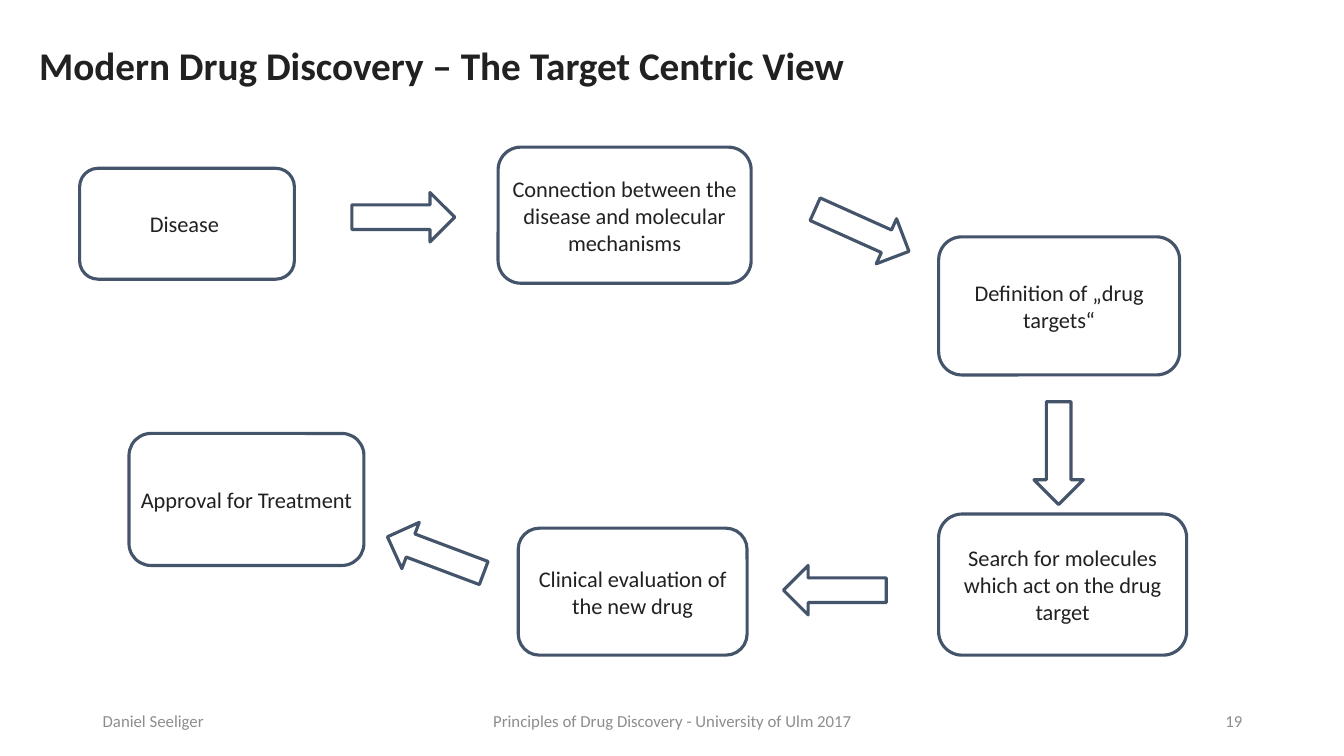
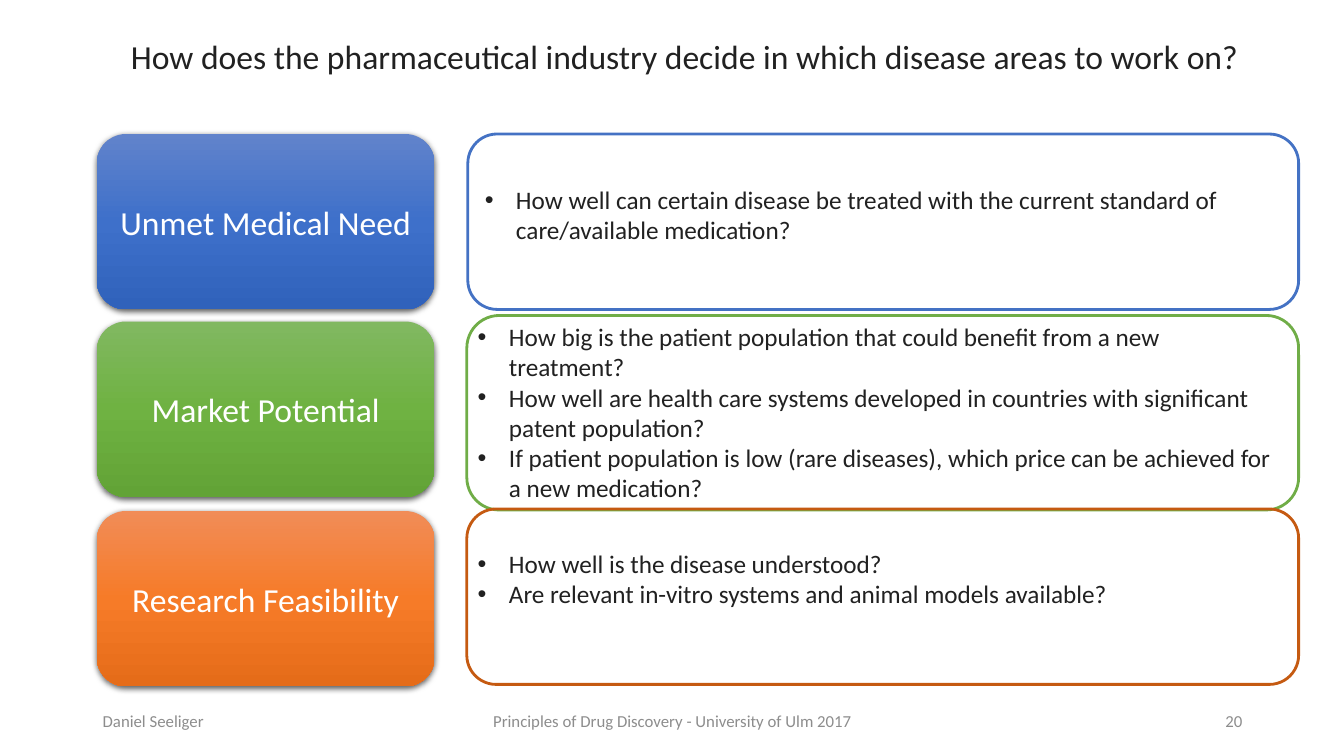
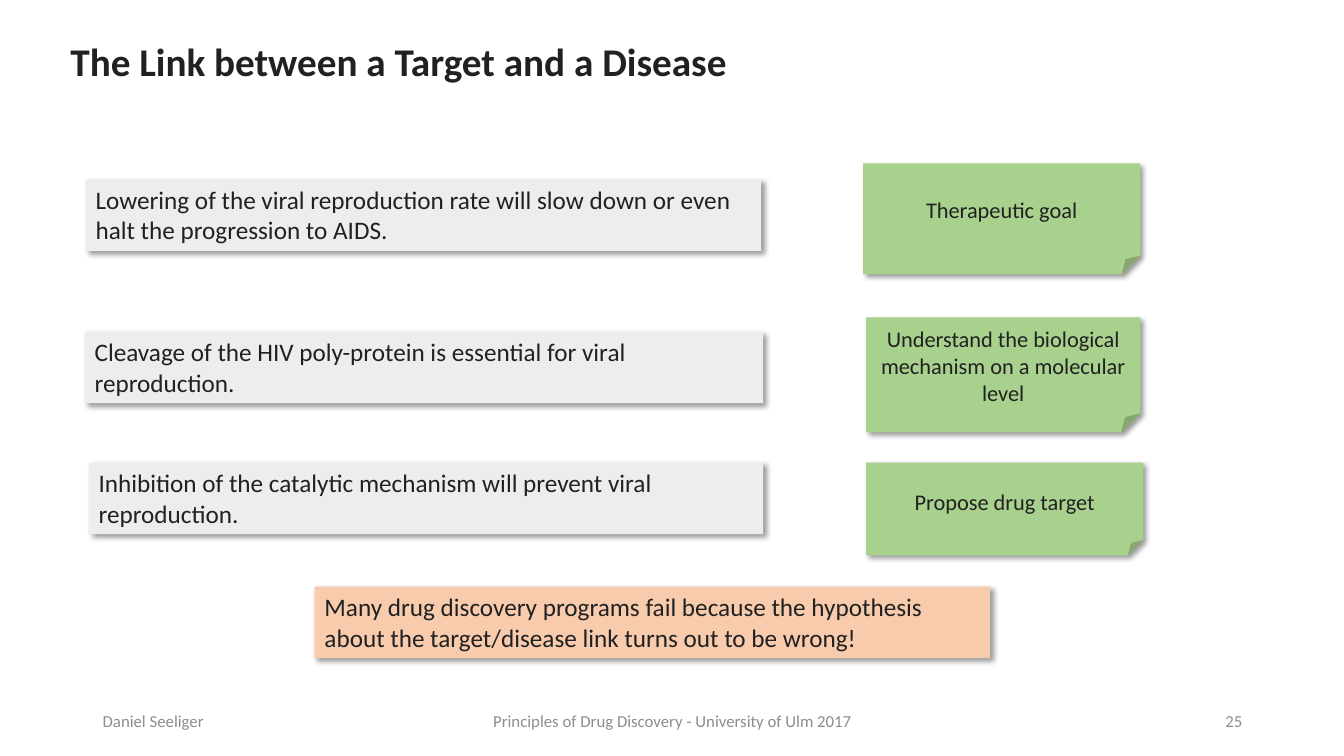
from copy import deepcopy

from lxml import etree
from pptx import Presentation
from pptx.dml.color import RGBColor
from pptx.enum.shapes import MSO_SHAPE
from pptx.enum.text import MSO_ANCHOR, PP_ALIGN
from pptx.oxml.ns import qn
from pptx.util import Inches, Pt

LEFT, CENTER, RIGHT = PP_ALIGN.LEFT, PP_ALIGN.CENTER, PP_ALIGN.RIGHT
TOP, MIDDLE = MSO_ANCHOR.TOP, MSO_ANCHOR.MIDDLE
RECTANGLE = MSO_SHAPE.RECTANGLE
ROUNDED = MSO_SHAPE.ROUNDED_RECTANGLE
ARROW = MSO_SHAPE.RIGHT_ARROW
NOTE = MSO_SHAPE.FOLDED_CORNER

FONT = "Calibri"
INK, WHITE, GREY, NAVY = "212121", "FFFFFF", "8D8D8D", "44546A"
PALE_GREY, PALE_GREEN, PALE_ORANGE = "EDEDED", "A9D18E", "F8CBAD"

# opacity in percent, blur and distance in points, direction in degrees
SOFT_SHADOW = (63, 4.5, 1.5, 90)
CORNER_SHADOW = (40, 4, 3, 45)
BULLET_INDENT = 0.31


def rgb(colour):
    return RGBColor.from_string(colour)


def add_bullet(para):
    properties = para._p.get_or_add_pPr()
    properties.set("marL", str(Inches(BULLET_INDENT)))
    properties.set("indent", str(-Inches(BULLET_INDENT)))
    etree.SubElement(properties, qn("a:buFont"), typeface="Arial")
    etree.SubElement(properties, qn("a:buChar"), char="•")


def write(shape, *lines, size=18, colour=INK, bold=False, align=LEFT,
          anchor=TOP, inset=None, wrap=True, bullets=False, spacing=None):
    """Put one paragraph per line into the shape."""
    frame = shape.text_frame
    frame.word_wrap = wrap
    frame.vertical_anchor = anchor
    if inset is not None:
        frame.margin_left = frame.margin_right = Inches(inset)
        frame.margin_top = frame.margin_bottom = Inches(inset)
    for index, line in enumerate(lines):
        para = frame.add_paragraph() if index else frame.paragraphs[0]
        if bullets:
            add_bullet(para)
        para.alignment = align
        if spacing:
            para.line_spacing = spacing
        span = para.add_run()
        span.text = line
        span.font.name = FONT
        span.font.size = Pt(size)
        span.font.bold = bold
        span.font.color.rgb = rgb(colour)


def add_text(page, place, *lines, **style):
    box = page.shapes.add_textbox(*map(Inches, place))
    write(box, *lines, **style)


def add_figure(page, kind, place, fill=None, line=None, width=2.25,
               shadow=None, turn=0):
    """Add a preset shape; a tuple of colours as fill gives a gradient."""
    shape = page.shapes.add_shape(kind, *map(Inches, place))
    shape.rotation = turn
    shape.shadow.inherit = False
    if isinstance(fill, tuple):
        set_gradient(shape, fill)
    elif fill:
        shape.fill.solid()
        shape.fill.fore_color.rgb = rgb(fill)
    else:
        shape.fill.background()
    if line:
        shape.line.color.rgb = rgb(line)
        shape.line.width = Pt(width)
    else:
        shape.line.fill.background()
    if shadow:
        set_shadow(shape, *shadow)
    return shape


def set_gradient(shape, colours):
    """Spread the colours evenly from top to bottom."""
    shape.fill.gradient()
    shape.fill.gradient_angle = 270
    stops = shape._element.spPr.find(".//" + qn("a:gsLst"))
    while len(stops) < len(colours):
        stops.append(deepcopy(stops[0]))
    for index, (stop, colour) in enumerate(zip(shape.fill.gradient_stops, colours)):
        stop.position = index / (len(colours) - 1)
        stop.color.rgb = rgb(colour)


def set_shadow(shape, opacity, blur, distance, direction):
    effects = shape._element.spPr.find(qn("a:effectLst"))
    outer = etree.SubElement(
        effects, qn("a:outerShdw"), blurRad=str(Pt(blur)), dist=str(Pt(distance)),
        dir=str(direction * 60000), algn="ctr", rotWithShape="0")
    tint = etree.SubElement(outer, qn("a:srgbClr"), val="000000")
    etree.SubElement(tint, qn("a:alpha"), val=str(opacity * 1000))


def add_page(deck, number):
    """Add a blank slide with the shared footer."""
    page = deck.slides.add_slide(deck.slide_layouts[6])
    footers = [
        (0.92, 3, "Daniel Seeliger", LEFT),
        (4.42, 4.5, "Principles of Drug Discovery - University of Ulm 2017", CENTER),
        (9.42, 3, str(number), RIGHT),
    ]
    for left, width, text, align in footers:
        add_text(page, (left, 6.95, width, 0.4), text, size=12, colour=GREY,
                 align=align, anchor=MIDDLE)
    return page


def add_title(page, place, text):
    add_text(page, place, text, size=28, bold=True, anchor=MIDDLE, spacing=0.9)


def add_label(page, kind, place, text, **look):
    shape = add_figure(page, kind, place, **look)
    write(shape, text, size=16, align=CENTER, anchor=MIDDLE, inset=0)


def add_statement(page, place, text, fill):
    shape = add_figure(page, RECTANGLE, place, fill=fill, shadow=CORNER_SHADOW)
    write(shape, text)


def build_target_view(deck):
    page = add_page(deck, 19)
    add_title(page, (0.29, 0.15, 11.5, 1.04),
              "Modern Drug Discovery – The Target Centric View")
    steps = [
        ((0.79, 1.67, 2.13, 1.1), "Disease "),
        ((4.94, 1.46, 2.51, 1.35),
         "Connection between the disease and molecular mechanisms"),
        ((9.31, 2.35, 2.39, 1.37), "Definition of „drug targets“"),
        ((9.31, 5.1, 2.46, 1.4), "Search for molecules which act on the drug target"),
        ((5.14, 5.24, 2.27, 1.26), "Clinical evaluation of the new drug"),
        ((1.28, 4.3, 2.33, 1.31), "Approval for Treatment"),
    ]
    for place, text in steps:
        add_label(page, ROUNDED, place, text, fill=WHITE, line=NAVY)
    arrows = [(3.49, 1.91, 0), (8.04, 2.04, 24.2), (9.99, 4.25, 90),
              (7.77, 5.61, 180), (3.81, 5.26, 200.6)]
    for left, top, turn in arrows:
        add_figure(page, ARROW, (left, top, 1.02, 0.49), fill=WHITE, line=NAVY,
                   turn=turn)


def build_disease_areas(deck):
    page = add_page(deck, 20)
    add_text(page, (1.2, 0.31, 11.21, 0.5),
             "How does the pharmaceutical industry decide in which disease areas "
             "to work on?", size=24, wrap=False)
    criteria = [
        ("Unmet Medical Need", 1.33, ("6183CB", "3E70CA", "3062BB"),
         (4.64, 1.33, 8.24, 1.74), "4472C4", (4.71, 1.78, 8.16, 0.71),
         ["How well can certain disease be treated with the current standard of "
          "care/available medication?"]),
        ("Market Potential", 3.19, ("81B861", "6FB242", "62A336"),
         (4.63, 3.13, 8.25, 1.93), "70AD47", (4.64, 3.14, 8.16, 1.92),
         ["How big is the patient population that could benefit from a new treatment?",
          "How well are health care systems developed in countries with "
          "significant patent population?",
          "If patient population is low (rare diseases), which price can be "
          "achieved for a new medication?"]),
        ("Research Feasibility", 5.07, ("F18C57", "F67B28", "E56C19"),
         (4.63, 5.05, 8.25, 1.74), "C55A11", (4.64, 5.39, 8.16, 0.71),
         ["How well is the disease understood?",
          "Are relevant in-vitro systems and animal models available?"]),
    ]
    for name, top, gradient, frame_place, frame_colour, text_place, questions in criteria:
        badge = add_figure(page, ROUNDED, (0.96, top, 3.35, 1.74), fill=gradient,
                           shadow=SOFT_SHADOW)
        write(badge, name, size=24, colour=WHITE, align=CENTER, anchor=MIDDLE)
        add_figure(page, ROUNDED, frame_place, line=frame_colour, width=2)
        add_text(page, text_place, *questions, bullets=True)


def build_target_link(deck):
    page = add_page(deck, 25)
    add_title(page, (0.6, 0.18, 11.5, 0.91), "The Link between a Target and a Disease")
    links = [
        ((0.85, 1.78, 6.7, 0.71),
         "Lowering of the viral reproduction rate will slow down or even halt "
         "the progression to AIDS.",
         (8.56, 1.62, 2.75, 1.1), "Therapeutic goal"),
        ((0.84, 3.29, 6.73, 0.71),
         "Cleavage of the HIV poly-protein is essential for viral reproduction.",
         (8.59, 3.15, 2.72, 1.14),
         "Understand the biological mechanism on a molecular level"),
        ((0.88, 4.59, 6.69, 0.71),
         "Inhibition of the catalytic mechanism will prevent viral reproduction.",
         (8.59, 4.59, 2.75, 0.92), "Propose drug target"),
    ]
    for place, statement, note_place, note in links:
        add_statement(page, place, statement, PALE_GREY)
        add_label(page, NOTE, note_place, note, fill=PALE_GREEN, shadow=CORNER_SHADOW)
    add_statement(page, (3.12, 5.82, 6.7, 0.71),
                  "Many drug discovery programs fail because the hypothesis about "
                  "the target/disease link turns out to be wrong!", PALE_ORANGE)


def main():
    deck = Presentation()
    deck.slide_width, deck.slide_height = Inches(13.33), Inches(7.5)
    build_target_view(deck)
    build_disease_areas(deck)
    build_target_link(deck)
    deck.save("out.pptx")


if __name__ == "__main__":
    main()
